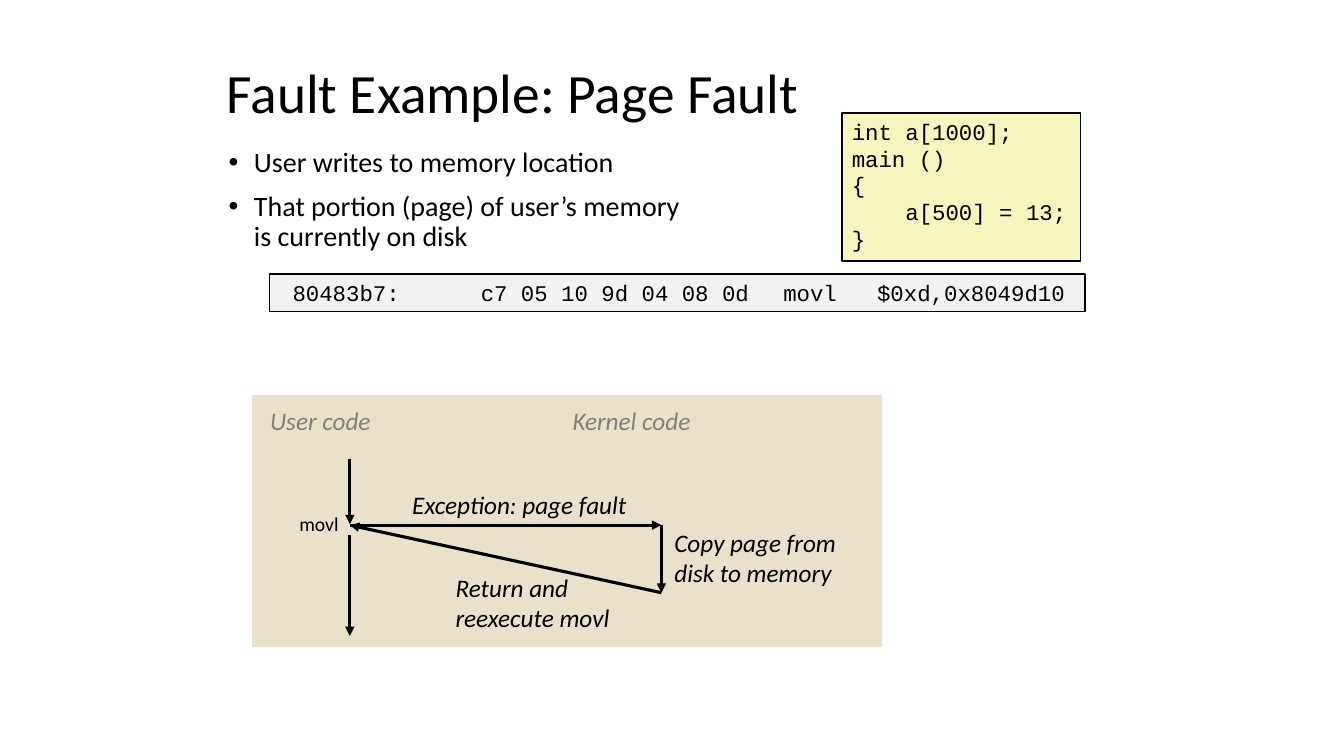
from dataclasses import dataclass

from lxml import etree
from pptx import Presentation
from pptx.dml.color import RGBColor
from pptx.enum.shapes import MSO_CONNECTOR, MSO_SHAPE
from pptx.enum.text import MSO_ANCHOR, MSO_AUTO_SIZE, PP_ALIGN
from pptx.oxml.ns import qn
from pptx.shapes.autoshape import Shape
from pptx.slide import Slide
from pptx.util import Inches, Pt

BLACK = RGBColor(0x00, 0x00, 0x00)
GRAY = RGBColor(0x80, 0x80, 0x80)
SAND = RGBColor(0xE9, 0xE1, 0xC9)
YELLOW = RGBColor(0xF6, 0xF5, 0xBD)
PALE_GRAY = RGBColor(0xF2, 0xF2, 0xF2)
BODY_FONT = "Calibri"
CODE_FONT = "Courier New"
RECTANGLE = MSO_SHAPE.RECTANGLE
STRAIGHT = MSO_CONNECTOR.STRAIGHT
LEFT = PP_ALIGN.LEFT
TOP, MIDDLE = MSO_ANCHOR.TOP, MSO_ANCHOR.MIDDLE
FIT_SHAPE = MSO_AUTO_SIZE.SHAPE_TO_FIT_TEXT
NO_FIT = MSO_AUTO_SIZE.NONE


@dataclass(frozen=True)
class Area:
    left: float
    top: float
    width: float
    height: float


@dataclass(frozen=True)
class TextStyle:
    size: float
    font: str = BODY_FONT
    color: RGBColor = BLACK
    italic: bool = False
    line_spacing: float = 1.0
    space_before: float = 0
    bullet: bool = False
    tabs: tuple[float, ...] = ()


@dataclass(frozen=True)
class Label:
    area: Area
    lines: tuple[str, ...]
    style: TextStyle
    wrap: bool = False
    anchor: MSO_ANCHOR = TOP
    fit: MSO_AUTO_SIZE = FIT_SHAPE


@dataclass(frozen=True)
class CodePanel:
    label: Label
    fill: RGBColor


@dataclass(frozen=True)
class Arrow:
    start: tuple[float, float]
    end: tuple[float, float]


TITLE = TextStyle(39.6, line_spacing=0.9)
BULLETS = TextStyle(20, line_spacing=0.9, space_before=10, bullet=True)
CODE = TextStyle(16, CODE_FONT)
ASSEMBLY = TextStyle(16, CODE_FONT, tabs=(2, 5))
HEADING = TextStyle(18, color=GRAY, italic=True)
STEP = TextStyle(18, italic=True)
INSTRUCTION = TextStyle(14)

DIAGRAM = Area(2.5, 3.92, 6.25, 2.5)
USER_X, KERNEL_X = 3.47, 6.56
FAULT_Y, RETURN_Y = 5.21, 5.88

HEADER = (
    Label(Area(2.15, 0.64, 8.63, 0.61), ("Fault Example: Page Fault",),
          TITLE, True, MIDDLE, NO_FIT),
    Label(Area(2.17, 1.42, 8.92, 1.17),
          ("User writes to memory location",
           "That portion (page) of user’s memory\nis currently on disk"),
          BULLETS, True, TOP, NO_FIT),
)
CODE_PANELS = (
    CodePanel(Label(Area(8.35, 1.12, 2.37, 1.47),
                    ("int a[1000];", "main ()", "{", "    a[500] = 13;", "}"),
                    CODE), YELLOW),
    CodePanel(Label(Area(2.67, 2.72, 8.09, 0.37),
                    (" 80483b7:\tc7 05 10 9d 04 08 0d \tmovl   $0xd,0x8049d10",),
                    ASSEMBLY), PALE_GRAY),
)
ARROWS = (
    Arrow((USER_X, 4.55), (USER_X, 5.2)),
    Arrow((USER_X, FAULT_Y), (KERNEL_X, FAULT_Y)),
    Arrow((KERNEL_X, FAULT_Y), (KERNEL_X, RETURN_Y)),
    Arrow((KERNEL_X, RETURN_Y), (USER_X, FAULT_Y)),
    Arrow((USER_X, 5.31), (USER_X, 6.31)),
)
DIAGRAM_LABELS = (
    Label(Area(2.58, 3.97, 1.21, 0.4), ("User code",), HEADING),
    Label(Area(5.58, 3.97, 1.38, 0.4), ("Kernel code",), HEADING),
    Label(Area(3.99, 4.81, 2.42, 0.4), ("Exception: page fault",), STEP),
    Label(Area(6.59, 5.18, 2.16, 0.7), ("Copy page from disk to memory",), STEP, True),
    Label(Area(4.42, 5.63, 1.99, 0.7), ("Return and reexecute movl",), STEP, True),
    Label(Area(2.87, 5.03, 0.6, 0.34), ("movl",), INSTRUCTION),
)


def to_inches(area: Area) -> tuple[int, int, int, int]:
    return (Inches(area.left), Inches(area.top),
            Inches(area.width), Inches(area.height))


def write_text(box: Shape, label: Label) -> None:
    frame, style = box.text_frame, label.style
    frame.word_wrap = label.wrap
    frame.auto_size = label.fit
    frame.vertical_anchor = label.anchor
    for index, line in enumerate(label.lines):
        para = frame.add_paragraph() if index else frame.paragraphs[0]
        para.alignment = LEFT
        para.line_spacing = style.line_spacing
        para.space_before = Pt(style.space_before if index else 0)
        properties = para._p.get_or_add_pPr()
        if style.bullet:
            properties.set("marL", str(Inches(0.25)))
            properties.set("indent", str(Inches(-0.25)))
            etree.SubElement(properties, qn("a:buFont"), typeface="Arial")
            etree.SubElement(properties, qn("a:buChar"), char="•")
        if style.tabs:
            tab_list = etree.SubElement(properties, qn("a:tabLst"))
            for stop in style.tabs:
                etree.SubElement(tab_list, qn("a:tab"), pos=str(Inches(stop)), algn="l")
        for part_index, part in enumerate(line.split("\n")):
            if part_index:
                para.add_line_break()
            span = para.add_run()
            span.text = part
            span.font.name = style.font
            span.font.size = Pt(style.size)
            span.font.italic = style.italic
            span.font.color.rgb = style.color


def add_label(page: Slide, label: Label) -> None:
    write_text(page.shapes.add_textbox(*to_inches(label.area)), label)


def add_panel(page: Slide, area: Area, fill: RGBColor) -> Shape:
    """Add a filled rectangle without an outline or a shadow."""
    panel = page.shapes.add_shape(RECTANGLE, *to_inches(area))
    panel.shadow.inherit = False
    panel.fill.solid()
    panel.fill.fore_color.rgb = fill
    panel.line.fill.background()
    return panel


def add_code_panel(page: Slide, code: CodePanel) -> None:
    panel = add_panel(page, code.label.area, code.fill)
    panel.line.color.rgb = BLACK
    panel.line.width = Pt(1)
    write_text(panel, code.label)


def add_arrow(page: Slide, arrow: Arrow) -> None:
    points = [Inches(value) for value in arrow.start + arrow.end]
    connector = page.shapes.add_connector(STRAIGHT, *points)
    connector.line.color.rgb = BLACK
    connector.line.width = Pt(2.25)
    etree.SubElement(connector.line._get_or_add_ln(), qn("a:tailEnd"), type="triangle")
    etree.SubElement(connector._element.spPr, qn("a:effectLst"))


def main() -> None:
    deck = Presentation()
    deck.slide_width, deck.slide_height = Inches(13.33), Inches(7.5)
    page = deck.slides.add_slide(deck.slide_layouts[6])
    add_panel(page, DIAGRAM, SAND)
    for label in HEADER:
        add_label(page, label)
    for code in CODE_PANELS:
        add_code_panel(page, code)
    for arrow in ARROWS:
        add_arrow(page, arrow)
    for label in DIAGRAM_LABELS:
        add_label(page, label)
    deck.save("out.pptx")


if __name__ == "__main__":
    main()
